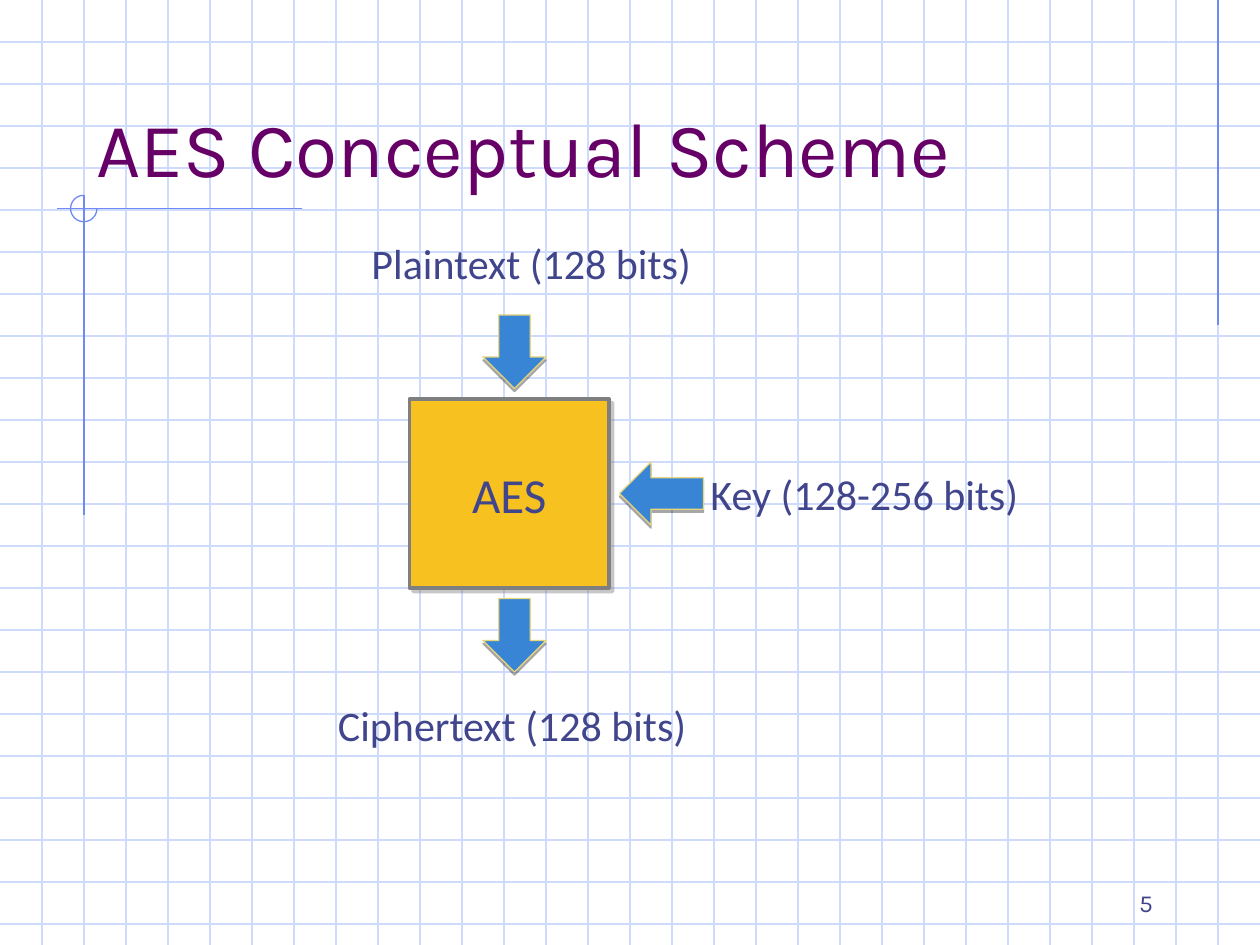
from lxml import etree
from pptx import Presentation
from pptx import util as u
from pptx.dml import color as colors
from pptx.enum import shapes, text
from pptx.oxml import ns

COLUMNS, ROWS = 30, 22.5
GRID, ACCENT, PURPLE, INK = "CFDBFD", "6F89F7", "660066", "40458C"

presentation = Presentation()
presentation.slide_width = u.Inches(10)
presentation.slide_height = u.Inches(7.5)
cell = presentation.slide_width / COLUMNS
slide = presentation.slides.add_slide(presentation.slide_layouts[6])


def paint(target, hex_color):
    target.rgb = colors.RGBColor.from_string(hex_color)


def write(shape, words, size, font, hex_color, align, anchor):
    frame = shape.text_frame
    frame.word_wrap = True
    frame.vertical_anchor = anchor
    paragraph = frame.paragraphs[0]
    paragraph.alignment = align
    run = paragraph.add_run()
    run.text = words
    for name, value in {"size": u.Pt(size), "name": font}.items():
        setattr(run.font, name, value)
    paint(run.font.color, hex_color)


lines = [(0, row, COLUMNS, row, GRID) for row in range(1, 23)]
lines += [(column, 0, column, ROWS, GRID) for column in range(1, COLUMNS)]
lines += [
    (29, 0, 29, 7.75, ACCENT),
    (7.2, 4.97, 1.35, 4.97, ACCENT),
    (2, 4.65, 2, 12.27, ACCENT),
]
for *ends, hex_color in lines:
    line = slide.shapes.add_connector(
        shapes.MSO_CONNECTOR.STRAIGHT, *[round(end * cell) for end in ends])
    line.line.width = u.Pt(0.75)
    paint(line.line.color, hex_color)
    etree.SubElement(line._element.spPr, ns.qn("a:effectLst"))

arc = slide.shapes.add_shape(
    shapes.MSO_SHAPE.ARC, *[round(n * cell) for n in (1.68, 4.65, 0.63, 0.63)])
arc.adjustments[0], arc.adjustments[1] = 0, 162
arc.shadow.inherit = False
arc.fill.background()
arc.line.width = u.Pt(0.75)
paint(arc.line.color, ACCENT)

LEFT, RIGHT = text.PP_ALIGN.LEFT, text.PP_ALIGN.RIGHT
TOP, BOTTOM = text.MSO_ANCHOR.TOP, text.MSO_ANCHOR.BOTTOM
labels = [
    ("AES Conceptual Scheme", 2, 1, 25.5, 3.75, 44, "Karla", PURPLE, LEFT, BOTTOM),
    ("5", 21.5, 20.5, 6.25, 1.5, 14, "Karla", INK, RIGHT, BOTTOM),
    ("Plaintext (128 bits)", 8.55, 5.5, 9.25, 1.5, 24, "Calibri", INK, LEFT, TOP),
    ("Ciphertext (128 bits)", 7.75, 16.5, 10.3, 1.5, 24, "Calibri", INK, LEFT, TOP),
    ("Key (128-256 bits)", 16.62, 11, 8.9, 1.5, 24, "Calibri", INK, LEFT, TOP),
]
for words, left, top, width, height, *style in labels:
    box = slide.shapes.add_textbox(
        *[round(n * cell) for n in (left, top, width, height)])
    write(box, words, *style)

block_format = {"fill": "F7C120", "line": "7F7F7F", "width": 2,
                "shadow": "808080", "alpha": 43, "distance": 3, "angle": 45}
arrow_format = {"fill": "3885D6", "line": "E9D57C", "width": 0.75,
                "shadow": "000000", "alpha": 35, "distance": 1.8, "angle": 90}
DOWN, SIDE = shapes.MSO_SHAPE.DOWN_ARROW, shapes.MSO_SHAPE.LEFT_ARROW
figures = [
    (shapes.MSO_SHAPE.RECTANGLE, 9.75, 9.5, 4.75, 4.5, "AES", block_format),
    (DOWN, 11.5, 7.5, 1.5, 1.75, "", arrow_format),
    (DOWN, 11.5, 14.25, 1.5, 1.75, "", arrow_format),
    (SIDE, 14.75, 11, 2, 1.5, "", arrow_format),
]
for kind, left, top, width, height, words, look in figures:
    shape = slide.shapes.add_shape(
        kind, *[round(n * cell) for n in (left, top, width, height)])
    shape.fill.solid()
    paint(shape.fill.fore_color, look["fill"])
    paint(shape.line.color, look["line"])
    shape.line.width = u.Pt(look["width"])
    shape.shadow.inherit = False
    effects = shape._element.spPr.find(ns.qn("a:effectLst"))
    shadow = etree.SubElement(effects, ns.qn("a:outerShdw"))
    for name, value in {"blurRad": 0, "dist": u.Pt(look["distance"]),
                        "dir": look["angle"] * 60000, "rotWithShape": 0}.items():
        shadow.set(name, str(int(value)))
    tint = etree.SubElement(shadow, ns.qn("a:srgbClr"), val=look["shadow"])
    etree.SubElement(tint, ns.qn("a:alpha"), val=str(look["alpha"] * 1000))
    if words:
        write(shape, words, 28, "Calibri", INK,
              text.PP_ALIGN.CENTER, text.MSO_ANCHOR.MIDDLE)

presentation.save("out.pptx")
